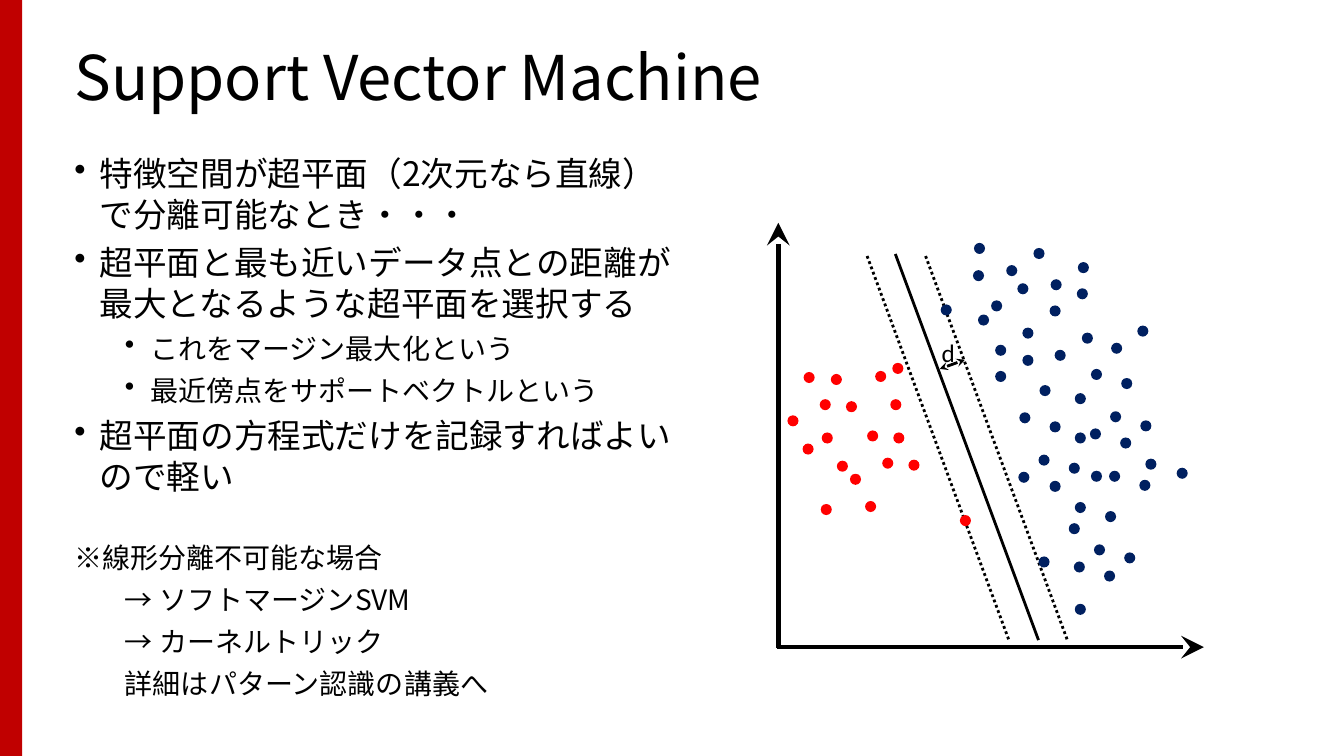
from dataclasses import dataclass

import lxml.etree
import pptx
import pptx.dml.color
import pptx.enum.dml
import pptx.enum.shapes
import pptx.enum.text
import pptx.oxml.ns
import pptx.util

EMU_PER_PX = 9144
NOTO = "Noto Sans CJK JP"
BLACK, CRIMSON, RED, NAVY = "000000", "C00000", "FF0000", "002060"
DOT_SIZE = 11


@dataclass(frozen=True)
class Box:
    left: int
    top: int
    width: int
    height: int


@dataclass(frozen=True)
class Line:
    start: tuple[int, int]
    end: tuple[int, int]
    weight: float = 2
    dotted: bool = False
    head: str = ""
    tail: str = ""


@dataclass(frozen=True)
class Paragraph:
    text: str
    size: int
    font: str = NOTO
    margin: int = 0
    bullet: bool = False
    before: float = 6
    spacing: float = 1.0


def px(length: int) -> pptx.util.Emu:
    return pptx.util.Emu(length * EMU_PER_PX)


def color(value: str) -> pptx.dml.color.RGBColor:
    return pptx.dml.color.RGBColor.from_string(value)


def add_child(parent, tag: str, **attributes: str) -> None:
    lxml.etree.SubElement(parent, pptx.oxml.ns.qn(tag), attributes)


def draw_shape(slide, kind, box: Box, fill: str) -> None:
    shape = slide.shapes.add_shape(
        kind, px(box.left), px(box.top), px(box.width), px(box.height)
    )
    shape.shadow.inherit = False
    shape.fill.solid()
    shape.fill.fore_color.rgb = color(fill)
    shape.line.fill.background()


def draw_line(slide, line: Line) -> None:
    connector = slide.shapes.add_connector(
        pptx.enum.shapes.MSO_CONNECTOR.STRAIGHT,
        *map(px, line.start + line.end),
    )
    connector.line.color.rgb = color(BLACK)
    connector.line.width = pptx.util.Pt(line.weight)
    if line.dotted:
        connector.line.dash_style = pptx.enum.dml.MSO_LINE.ROUND_DOT
    properties = connector.element.spPr
    stroke = properties.find(pptx.oxml.ns.qn("a:ln"))
    for tag, size in (("a:headEnd", line.head), ("a:tailEnd", line.tail)):
        if size:
            add_child(stroke, tag, type="stealth", w=size, len=size)
    add_child(properties, "a:effectLst")


def draw_dots(slide, positions: list[tuple[int, int]], fill: str) -> None:
    for left, top in positions:
        draw_shape(
            slide,
            pptx.enum.shapes.MSO_SHAPE.OVAL,
            Box(left, top, DOT_SIZE, DOT_SIZE),
            fill,
        )


def write_text(
    slide,
    box: Box,
    paragraphs: list[Paragraph],
    wrap: bool = True,
    anchor=pptx.enum.text.MSO_ANCHOR.TOP,
) -> None:
    frame = slide.shapes.add_textbox(
        px(box.left), px(box.top), px(box.width), px(box.height)
    ).text_frame
    frame.word_wrap = wrap
    frame.vertical_anchor = anchor
    for index, content in enumerate(paragraphs):
        paragraph = frame.add_paragraph() if index else frame.paragraphs[0]
        properties = paragraph._p.get_or_add_pPr()
        properties.set("marL", str(px(content.margin)))
        if content.bullet:
            properties.set("indent", str(px(-25)))
            add_child(properties, "a:buChar", char="•")
        paragraph.line_spacing = content.spacing
        if index:
            paragraph.space_before = pptx.util.Pt(content.before)
        run = paragraph.add_run()
        run.text = content.text
        run.font.size = pptx.util.Pt(content.size)
        run.font.color.rgb = color(BLACK)
        run.font.name = content.font
        add_child(run._r.get_or_add_rPr(), "a:ea", typeface=content.font)


EXPLANATION = [
    Paragraph(text, size, margin=margin, bullet=True)
    for text, size, margin in (
        ("特徴空間が超平面（2次元なら直線）で分離可能なとき・・・", 24, 25),
        ("超平面と最も近いデータ点との距離が最大となるような超平面を選択する", 24, 25),
        ("これをマージン最大化という", 20, 75),
        ("最近傍点をサポートベクトルという", 20, 75),
        ("超平面の方程式だけを記録すればよいので軽い", 24, 25),
    )
]
NONLINEAR_CASE = [
    Paragraph("※線形分離不可能な場合", 20, before=31.5),
    Paragraph("→ ソフトマージンSVM", 20, margin=50),
    Paragraph("→ カーネルトリック", 20, margin=50),
    Paragraph("詳細はパターン認識の講義へ", 20, margin=50),
]

MARGINS = [
    Line((left, 254), (left + 141, 636), dotted=True) for left in (860, 918)
]
AXES = [
    Line((771, 642), (1194, 642), 3.25, tail="lg"),
    Line((772, 643), (772, 221), 3.25, tail="lg"),
]
HYPERPLANE = Line((888, 252), (1030, 635))
DISTANCE = Line((932, 366), (957, 357), head="med", tail="med")

RED_CLASS = [
    (815, 429), (830, 457), (814, 500), (797, 369), (813, 396),
    (781, 412), (796, 440), (824, 371), (839, 398), (860, 427),
    (875, 454), (885, 360), (952, 511), (843, 470), (858, 497),
    (886, 429), (901, 456), (868, 368), (883, 396),
]
NAVY_CLASS = [
    (1060, 459), (1030, 451), (1060, 519), (1041, 418), (1011, 409),
    (1041, 477), (1010, 468), (1115, 548), (1085, 540), (1096, 507),
    (1066, 498), (1095, 566), (1065, 557), (1030, 552), (1066, 599),
    (933, 302), (966, 241), (1009, 281), (983, 298), (965, 268),
    (1069, 260), (1042, 277), (1025, 246), (998, 263), (1068, 286),
    (1041, 303), (1014, 325), (987, 342), (1066, 429), (1031, 382),
    (970, 312), (1014, 352), (987, 368), (1073, 330), (1046, 347),
    (1131, 417), (1101, 408), (1130, 476), (1100, 467), (1112, 375),
    (1082, 366), (1111, 434), (1081, 425), (1167, 464), (1136, 455),
    (1082, 467), (1128, 323), (1102, 340), (1066, 390),
]


def main() -> None:
    presentation = pptx.Presentation()
    presentation.slide_width = px(1333)
    presentation.slide_height = px(750)
    slide = presentation.slides.add_slide(presentation.slide_layouts[6])
    draw_shape(
        slide, pptx.enum.shapes.MSO_SHAPE.RECTANGLE, Box(0, 0, 22, 750), CRIMSON
    )
    write_text(
        slide,
        Box(64, 40, 1176, 80),
        [Paragraph("Support Vector Machine", 44, spacing=0.9)],
        anchor=pptx.enum.text.MSO_ANCHOR.MIDDLE,
    )
    write_text(slide, Box(64, 147, 629, 603), EXPLANATION + NONLINEAR_CASE)
    for line in MARGINS + AXES:
        draw_line(slide, line)
    draw_dots(slide, RED_CLASS, RED)
    draw_dots(slide, NAVY_CLASS, NAVY)
    for line in (HYPERPLANE, DISTANCE):
        draw_line(slide, line)
    write_text(
        slide, Box(924, 330, 34, 40), [Paragraph("d", 18, "Calibri")], wrap=False
    )
    presentation.save("out.pptx")


if __name__ == "__main__":
    main()
